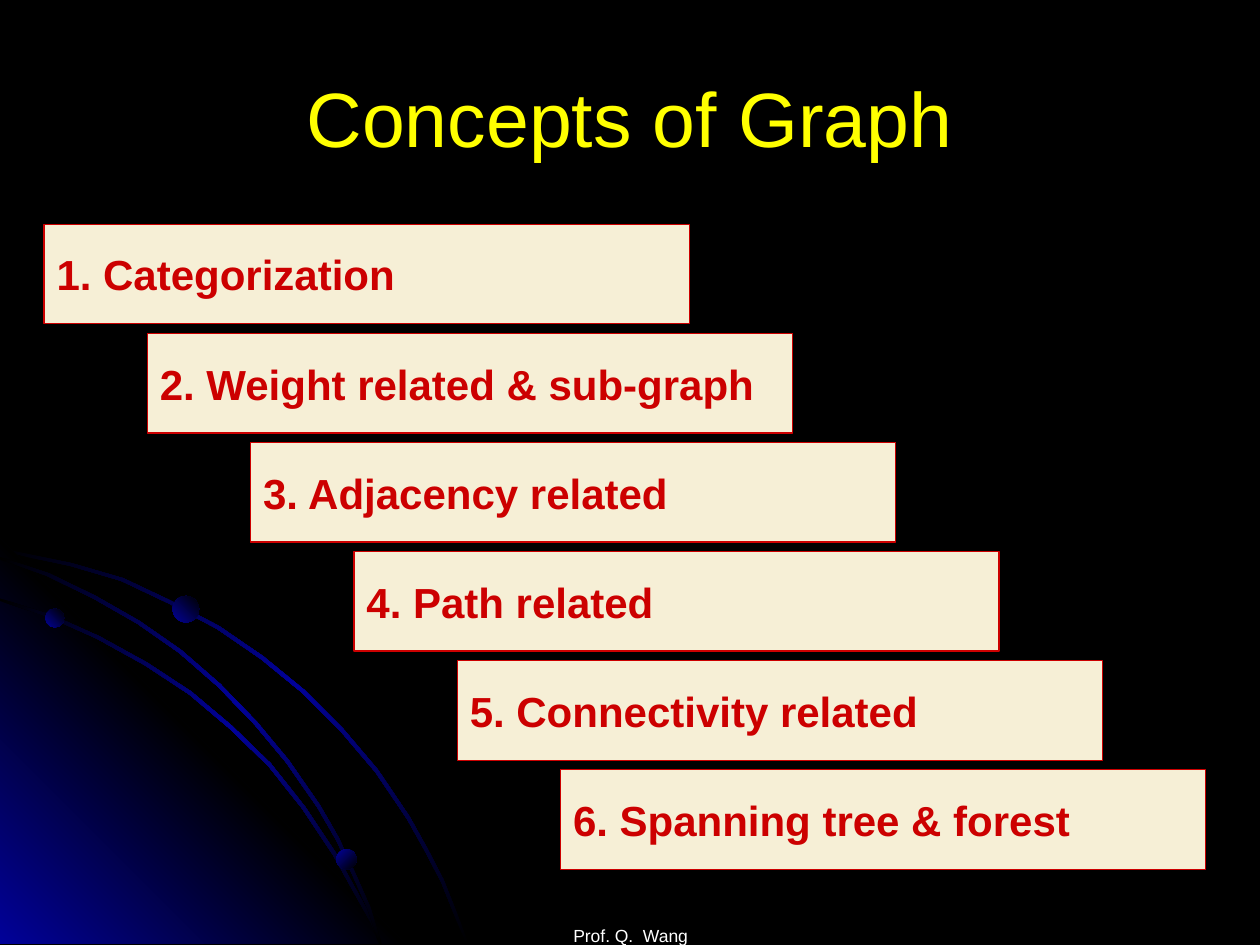
from copy import deepcopy

from pptx import Presentation
from pptx.dml.color import RGBColor
from pptx.enum.shapes import MSO_SHAPE
from pptx.enum.text import MSO_ANCHOR, PP_ALIGN
from pptx.oxml.ns import qn
from pptx.util import Inches, Pt

RECTANGLE, OVAL = MSO_SHAPE.RECTANGLE, MSO_SHAPE.OVAL
MIDDLE, BOTTOM = MSO_ANCHOR.MIDDLE, MSO_ANCHOR.BOTTOM
LEFT, CENTER = PP_ALIGN.LEFT, PP_ALIGN.CENTER

BLACK = RGBColor(0x00, 0x00, 0x00)
BLUE = RGBColor(0x01, 0x01, 0x99)
WHITE = RGBColor(0xFF, 0xFF, 0xFF)
YELLOW = RGBColor(0xFF, 0xFF, 0x00)
CREAM = RGBColor(0xF6, 0xEF, 0xD6)
RED = RGBColor(0xCC, 0x00, 0x00)

# The slide is a grid of 100 columns by 75 rows
COLUMNS, ROWS = 100, 75
UNIT = Inches(0.1)

presentation = Presentation()
presentation.slide_width = COLUMNS * UNIT
presentation.slide_height = ROWS * UNIT
slide = presentation.slides.add_slide(presentation.slide_layouts[6])
slide.background.fill.solid()
slide.background.fill.fore_color.rgb = BLACK


def paint_gradient(shape, colors, angle):
    """Spread the colors evenly along a line at a counter-clockwise angle."""
    shape.shadow.inherit = False
    shape.line.fill.background()
    shape.fill.gradient()
    shape.fill.gradient_angle = angle
    stop_list = shape._element.spPr.find(qn("a:gradFill")).find(qn("a:gsLst"))
    for _ in colors[2:]:
        stop_list.append(deepcopy(stop_list[0]))
    for index, (stop, color) in enumerate(zip(shape.fill.gradient_stops, colors)):
        stop.color.rgb = color
        stop.position = index / (len(colors) - 1)


def write_text(shape, text, anchor, alignment, wrap, font_format):
    frame = shape.text_frame
    frame.word_wrap = wrap
    frame.vertical_anchor = anchor
    paragraph = frame.paragraphs[0]
    paragraph.text = text
    paragraph.alignment = alignment
    font_values = dict(font_format)
    paragraph.font.color.rgb = font_values.pop("color")
    for name, value in font_values.items():
        setattr(paragraph.font, name, value)


# Upper edges of the arcs, and the corner glow, as columns and rows
OUTER_ARC = [(0, 43.5), (2.8, 44.1), (5.7, 44.7), (9.8, 45.9), (13.6, 47.7),
             (17.4, 49.7), (20.9, 52.1), (24.2, 54.8), (27.2, 57.8), (30, 61.1),
             (32.5, 64.8), (33.9, 67.3), (35.2, 69.8), (36.2, 72.3), (37.2, 74.9)]
INNER_ARC = [(0, 47.5), (4.1, 48.8), (7.9, 50.5), (11.7, 52.6), (15.2, 54.9),
             (18.4, 57.6), (21.5, 60.6), (24.2, 64), (26.6, 67.6), (28.6, 71.2),
             (29.6, 73), (30.3, 74.9)]
MIDDLE_ARC = [(0, 44.2), (3.9, 45.5), (7.6, 47.3), (11.1, 49.3), (14.4, 51.6),
              (17.5, 54.3), (20.4, 57.3), (22.9, 60.3), (25.4, 63.9),
              (26.9, 66.5), (28.2, 69.3), (29.4, 72), (30.3, 74.9)]
GLOW = [(32.2, 74.9), (0, 74.9), (0, 42.7)]
ARC_SHIFT = 0.2
ARC_END = 74.9

# Each arc is a thin band: its upper edge and the same edge shifted down-left
outlines = []
for edge in (OUTER_ARC, INNER_ARC, MIDDLE_ARC):
    lower_edge = [(max(0, x - ARC_SHIFT), min(ARC_END, y + ARC_SHIFT))
                  for x, y in reversed(edge)]
    outlines.append((edge + lower_edge, (BLACK, BLUE, BLACK), 315))
outlines.insert(1, (GLOW, (BLUE, BLACK, BLUE), 45))

for points, colors, angle in outlines:
    points = [(round(x * UNIT), round(y * UNIT)) for x, y in points]
    builder = slide.shapes.build_freeform(*points[0])
    builder.add_line_segments(points[1:], close=True)
    paint_gradient(builder.convert_to_shape(), colors, angle)

# Dots on the arcs: column, row, diameter, gradient angle
for column, row, diameter, angle in [(3.6, 48.3, 1.5, 45),
                                     (26.7, 67.4, 1.6, 315),
                                     (13.7, 47.3, 2.1, 45)]:
    size = round(diameter * UNIT)
    dot = slide.shapes.add_shape(
        OVAL, round(column * UNIT), round(row * UNIT), size, size)
    paint_gradient(dot, (BLUE, BLACK), angle)

# Footer and title
footer = slide.shapes.add_textbox(
    *(round(value * UNIT) for value in (34.2, 70.1, 31.7, 5)))
footer.text_frame.margin_bottom = 0
write_text(footer, "Prof. Q.  Wang", BOTTOM, CENTER, True,
           {"name": "Arial", "size": Pt(10), "color": WHITE})

title = slide.shapes.add_textbox(
    *(round(value * UNIT) for value in (5, 3, 90, 12.5)))
write_text(title, "Concepts of Graph", MIDDLE, CENTER, True,
           {"name": "Arial", "size": Pt(44), "color": YELLOW})

# Staircase of topics
TOPICS = ["Categorization", "Weight related & sub-graph", "Adjacency related",
          "Path related", "Connectivity related", "Spanning tree & forest"]
FIRST_COLUMN, FIRST_ROW = 3.5, 17.8
STEP_COLUMNS, STEP_ROWS = 8.2, 8.66
BOX_COLUMNS, BOX_ROWS = 51.2, 7.9
TOPIC_FONT = {"name": "Arial", "size": Pt(24), "bold": True, "color": RED}

for index, topic in enumerate(TOPICS):
    box = slide.shapes.add_shape(
        RECTANGLE,
        round((FIRST_COLUMN + index * STEP_COLUMNS) * UNIT),
        round((FIRST_ROW + index * STEP_ROWS) * UNIT),
        round(BOX_COLUMNS * UNIT),
        round(BOX_ROWS * UNIT))
    box.shadow.inherit = False
    box.fill.solid()
    box.fill.fore_color.rgb = CREAM
    box.line.color.rgb = RED
    box.line.width = Pt(0.75)
    write_text(box, f"{index + 1}. {topic}", MIDDLE, LEFT, False, TOPIC_FONT)

presentation.save("out.pptx")
